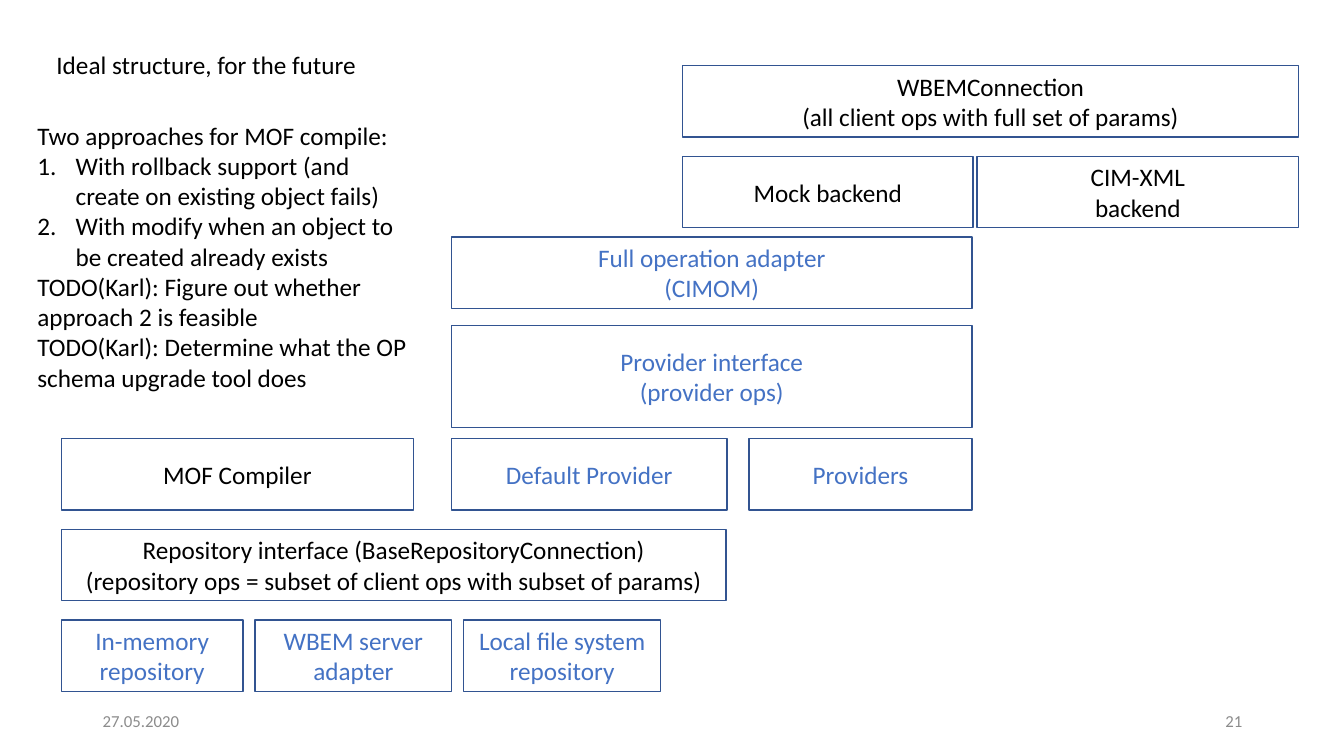
import pptx
import pptx.dml.color
import pptx.enum.shapes
import pptx.enum.text
import pptx.util
import lxml.etree

GRID = pptx.util.Inches(0.1)
ROW_HEIGHT = 7.1
ROW_PITCH = 9
BLACK, BLUE, OUTLINE, GREY = "000000", "4472C4", "325491", "8C8C8C"
LEFT = pptx.enum.text.PP_ALIGN.LEFT
CENTER = pptx.enum.text.PP_ALIGN.CENTER
RIGHT = pptx.enum.text.PP_ALIGN.RIGHT
TOP = pptx.enum.text.MSO_ANCHOR.TOP
MIDDLE = pptx.enum.text.MSO_ANCHOR.MIDDLE


def color(hex_string):
    """Turn a hex string into a colour."""
    return pptx.dml.color.RGBColor.from_string(hex_string)


def grid(*units):
    """Convert grid units to slide lengths."""
    return [round(unit * GRID) for unit in units]


def move(shape, box):
    """Place a shape on a grid box of left, top, width and height."""
    shape.left, shape.top, shape.width, shape.height = grid(*box)


def set_bullet(paragraph, numbered):
    """Number a paragraph with a hanging indent, or leave it plain."""
    properties = paragraph._p.get_or_add_pPr()
    indent = pptx.util.Inches(0.38) if numbered else 0
    properties.set("marL", str(indent))
    properties.set("indent", str(-indent))
    tag = "a:buAutoNum" if numbered else "a:buNone"
    bullet = lxml.etree.SubElement(properties, pptx.oxml.ns.qn(tag))
    if numbered:
        bullet.set("type", "arabicPeriod")


def write(shape, *texts, size=18, hex_string=BLACK, align=LEFT, anchor=TOP,
          wrap=True, numbered=()):
    """Write one paragraph per text, numbering those whose index is listed."""
    frame = shape.text_frame
    frame.word_wrap = wrap
    frame.auto_size = pptx.enum.text.MSO_AUTO_SIZE.NONE
    frame.vertical_anchor = anchor
    for index, text in enumerate(texts):
        paragraph = frame.add_paragraph() if index else frame.paragraphs[0]
        paragraph.text = text
        paragraph.alignment = align
        paragraph.space_before = pptx.util.Pt(0)
        set_bullet(paragraph, index in numbered)
        for run in paragraph.runs:
            run.font.size = pptx.util.Pt(size)
            run.font.name = "Calibri"
            run.font.color.rgb = color(hex_string)


def add_row(slide, left, top, blocks, gap=0, height=ROW_HEIGHT):
    """Draw outlined blocks of text, colour and width from left to right."""
    for text, hex_string, width in blocks:
        shape = slide.shapes.add_shape(
            pptx.enum.shapes.MSO_SHAPE.RECTANGLE, *grid(left, top, width, height))
        shape.shadow.inherit = False
        shape.fill.background()
        shape.line.color.rgb = color(OUTLINE)
        shape.line.width = pptx.util.Pt(1)
        write(shape, text, hex_string=hex_string, align=CENTER, anchor=MIDDLE)
        left += width + gap


def add_client(slide, left, top, width):
    """Draw the connection and its backends."""
    add_row(slide, left, top, [
        ("WBEMConnection\n(all client ops with full set of params)", BLACK, width)])
    add_row(slide, left, top + ROW_PITCH, [
        ("Mock backend", BLACK, 28.8),
        ("CIM-XML\nbackend", BLACK, 31.9)], gap=0.4)


def add_providers(slide, left, top, width):
    """Draw the operation adapter, provider interface and providers."""
    add_row(slide, left, top, [
        ("Full operation adapter\n(CIMOM)", BLUE, width)])
    add_row(slide, left, top + 8.8, [
        ("Provider interface\n(provider ops)", BLUE, width)], height=10.1)
    add_row(slide, left, top + 20, [
        ("Default Provider", BLUE, 27.3),
        ("Providers", BLUE, 22.1)], gap=2.2)


def add_repository(slide, left, top, width):
    """Draw the compiler, repository interface and repositories."""
    add_row(slide, left, top, [("MOF Compiler", BLACK, 34.9)])
    add_row(slide, left, top + ROW_PITCH, [
        ("Repository interface (BaseRepositoryConnection)\n"
         "(repository ops = subset of client ops with subset of params)",
         BLACK, width)])
    add_row(slide, left, top + 2 * ROW_PITCH, [
        ("In-memory repository", BLUE, 18),
        ("WBEM server adapter", BLUE, 19.5),
        ("Local file system repository", BLUE, 19.5)], gap=1.2)


def add_notes_column(slide, left, top):
    """Fill the title and the list of compile approaches."""
    title = slide.shapes.title
    move(title, (left + 1.9, top, 32.1, 4))
    write(title, "Ideal structure, for the future", wrap=False)
    body = slide.placeholders[1]
    move(body, (left, top + 7, 39.8, 28.3))
    write(body,
          "Two approaches for MOF compile:",
          "With rollback support (and create on existing object fails)",
          "With modify when an object to be created already exists",
          "TODO(Karl): Figure out whether approach 2 is feasible",
          "TODO(Karl): Determine what the OP schema upgrade tool does",
          numbered=(1, 2))


def add_footer(slide, top):
    """Write the date and the slide number."""
    for text, left, align in (("27.05.2020", 9.2, LEFT), ("21", 94.2, RIGHT)):
        box = slide.shapes.add_textbox(*grid(left, top, 30, 4))
        write(box, text, size=12, hex_string=GREY, align=align, anchor=MIDDLE)


def main():
    """Build the slide and save it."""
    presentation = pptx.Presentation()
    presentation.slide_width = pptx.util.Inches(13.33)
    presentation.slide_height = pptx.util.Inches(7.5)
    slide = presentation.slides.add_slide(presentation.slide_layouts[1])
    add_notes_column(slide, 2.7, 4.4)
    add_client(slide, 67.7, 6.5, 61.1)
    add_providers(slide, 44.8, 23.5, 51.6)
    add_repository(slide, 6.1, 43.5, 65.9)
    add_footer(slide, 69.5)
    presentation.save("out.pptx")


if __name__ == "__main__":
    main()
